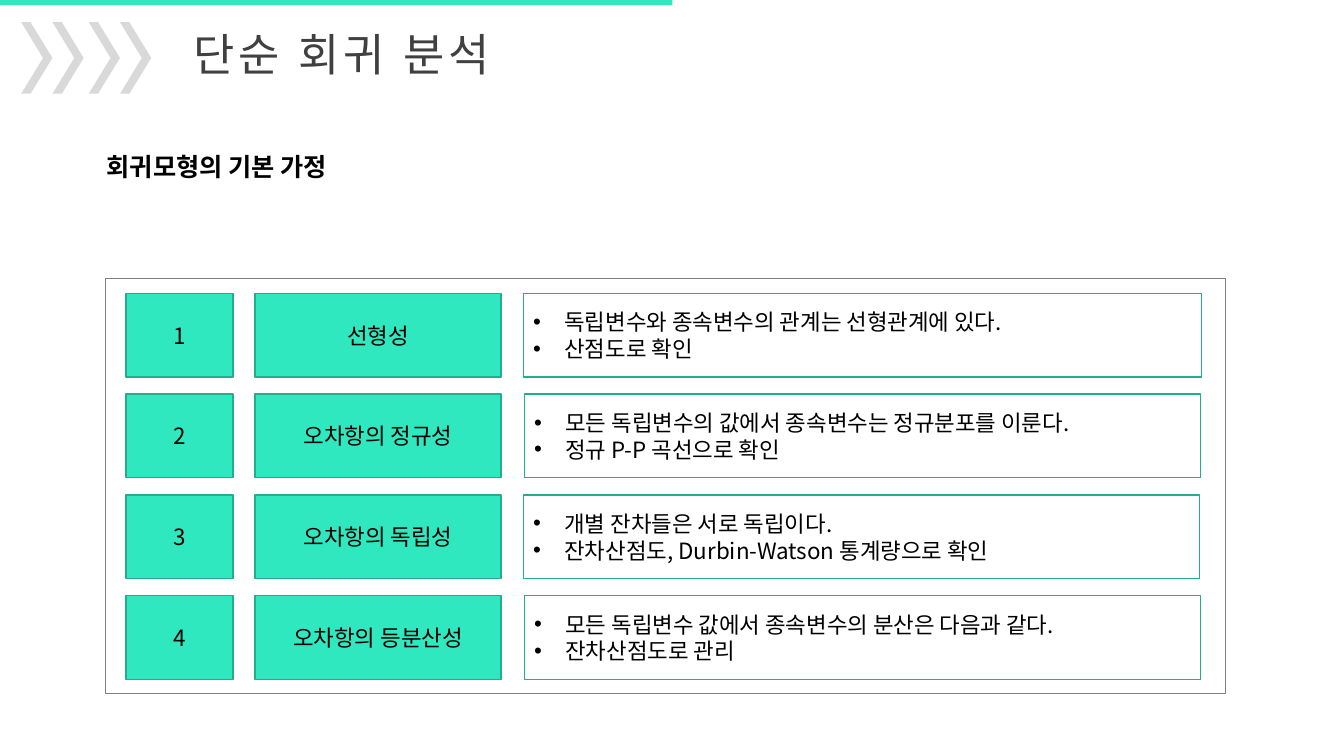
import lxml.etree
import pptx
import pptx.dml.color
import pptx.enum.shapes
import pptx.enum.text
import pptx.oxml.ns
import pptx.util

Inches = pptx.util.Inches
Pt = pptx.util.Pt
RGBColor = pptx.dml.color.RGBColor
SHAPE = pptx.enum.shapes.MSO_SHAPE
ALIGN = pptx.enum.text.PP_ALIGN
qn = pptx.oxml.ns.qn

MINT = RGBColor(0x30, 0xE8, 0xBF)
GREEN = RGBColor(0x24, 0xAC, 0x8D)
LIGHT_GRAY = RGBColor(0xD9, 0xD9, 0xD9)
GRAY = RGBColor(0x80, 0x80, 0x80)
DARK_GRAY = RGBColor(0x40, 0x40, 0x40)
BLACK = RGBColor(0, 0, 0)
KOREAN_FONT = "Noto Sans CJK KR"

prs = pptx.Presentation()
prs.slide_width = Inches(13.33)
prs.slide_height = Inches(7.5)
slide = prs.slides.add_slide(prs.slide_layouts[6])


def add_outline(kind, left, top, width, height, fill=None, line=None, weight=1):
    """Add a preset shape without shadow; fill and line are left out when None."""
    shape = slide.shapes.add_shape(
        kind, Inches(left), Inches(top), Inches(width), Inches(height))
    shape.shadow.inherit = False
    if fill is None:
        shape.fill.background()
    else:
        shape.fill.solid()
        shape.fill.fore_color.rgb = fill
    if line is None:
        shape.line.fill.background()
    else:
        shape.line.color.rgb = line
        shape.line.width = Pt(weight)
    return shape


def write(box, *lines, size=16, font=KOREAN_FONT, color=BLACK, bold=False,
          align=ALIGN.LEFT, anchor=pptx.enum.text.MSO_ANCHOR.MIDDLE,
          spacing=None, bullet=False):
    """Write one paragraph per line and return the paragraphs."""
    frame = box.text_frame
    frame.word_wrap = True
    frame.vertical_anchor = anchor
    frame.text = "\n".join(lines)
    for paragraph in frame.paragraphs:
        paragraph.alignment = align
        if bullet:
            props = paragraph._p.get_or_add_pPr()
            props.set("marL", str(Inches(0.31)))
            props.set("indent", str(-Inches(0.31)))
            lxml.etree.SubElement(props, qn("a:buFont"), typeface="Arial")
            lxml.etree.SubElement(props, qn("a:buChar"), char="•")
        run = paragraph.runs[0]
        run.font.size = Pt(size)
        run.font.bold = bold
        run.font.color.rgb = color
        run.font.name = font
        run_props = run._r.get_or_add_rPr()
        lxml.etree.SubElement(run_props, qn("a:ea"), typeface=KOREAN_FONT)
        if spacing:
            run_props.set("spc", str(spacing * 100))
    return frame.paragraphs


# Header
add_outline(SHAPE.RECTANGLE, 0, 0, 6.67, 0.05, fill=MINT)
title = slide.shapes.add_textbox(Inches(1.82), Inches(0.22), Inches(11.4), Inches(0.64))
write(title, "단순 회귀 분석", size=32, font="League Spartan", color=DARK_GRAY,
      anchor=pptx.enum.text.MSO_ANCHOR.TOP, spacing=3)
title.text_frame.auto_size = pptx.enum.text.MSO_AUTO_SIZE.SHAPE_TO_FIT_TEXT
for chevron_left in (0.21, 0.52, 0.88, 1.19):
    chevron = add_outline(SHAPE.CHEVRON, chevron_left, 0.22, 0.31, 0.71, fill=LIGHT_GRAY)
    chevron.adjustments[0] = 0.7

subtitle = slide.shapes.add_textbox(Inches(0.96), Inches(1.39), Inches(11.42), Inches(1.22))
heading = write(subtitle, "회귀모형의 기본 가정", size=18, bold=True,
                anchor=pptx.enum.text.MSO_ANCHOR.TOP)[0]
heading.line_spacing = 1.2
heading.space_before = Pt(10)

# Assumptions: name, left and width of the description, description lines
assumptions = [
    ("선형성", 5.19, 6.73,
     ["독립변수와 종속변수의 관계는 선형관계에 있다.", "산점도로 확인"]),
    ("오차항의 정규성", 5.2, 6.71,
     ["모든 독립변수의 값에서 종속변수는 정규분포를 이룬다.", "정규 P-P 곡선으로 확인"]),
    ("오차항의 독립성", 5.19, 6.71,
     ["개별 잔차들은 서로 독립이다.", "잔차산점도, Durbin-Watson 통계량으로 확인"]),
    ("오차항의 등분산성", 5.2, 6.71,
     ["모든 독립변수 값에서 종속변수의 분산은 다음과 같다.", "잔차산점도로 관리"]),
]
ROW_TOP, ROW_PITCH, ROW_HEIGHT = 2.91, 1.0, 0.83

add_outline(SHAPE.RECTANGLE, 1.05, 2.76, 11.1, 4.12, line=GRAY, weight=0.5)
for index, (name, left, width, description) in enumerate(assumptions):
    top = ROW_TOP + index * ROW_PITCH
    for label, label_left, label_width in ((str(index + 1), 1.25, 1.06), (name, 2.53, 2.44)):
        label_box = add_outline(SHAPE.RECTANGLE, label_left, top, label_width, ROW_HEIGHT,
                                fill=MINT, line=GREEN)
        write(label_box, label, align=ALIGN.CENTER)
    description_box = add_outline(SHAPE.RECTANGLE, left, top, width, ROW_HEIGHT, line=GREEN)
    write(description_box, *description, bullet=True)

prs.save("out.pptx")
